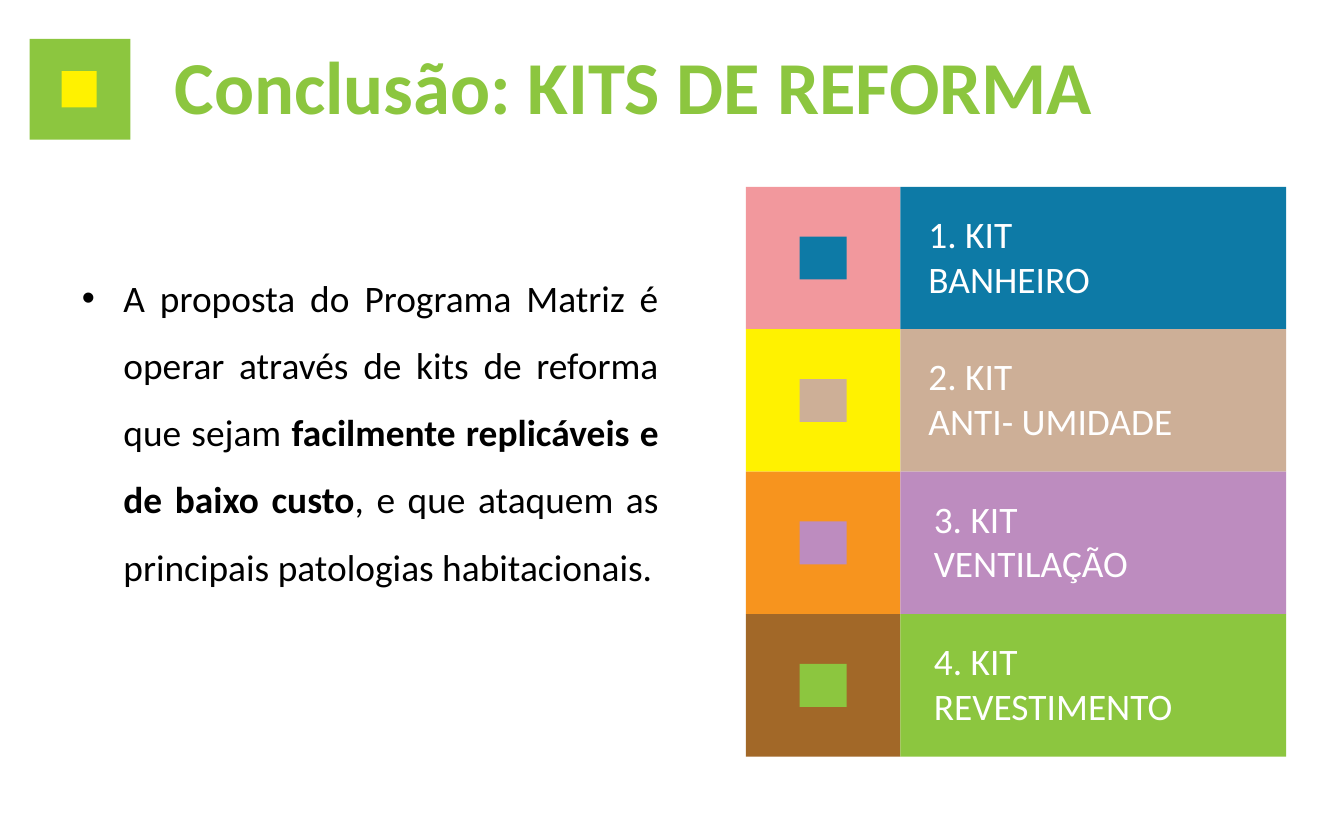
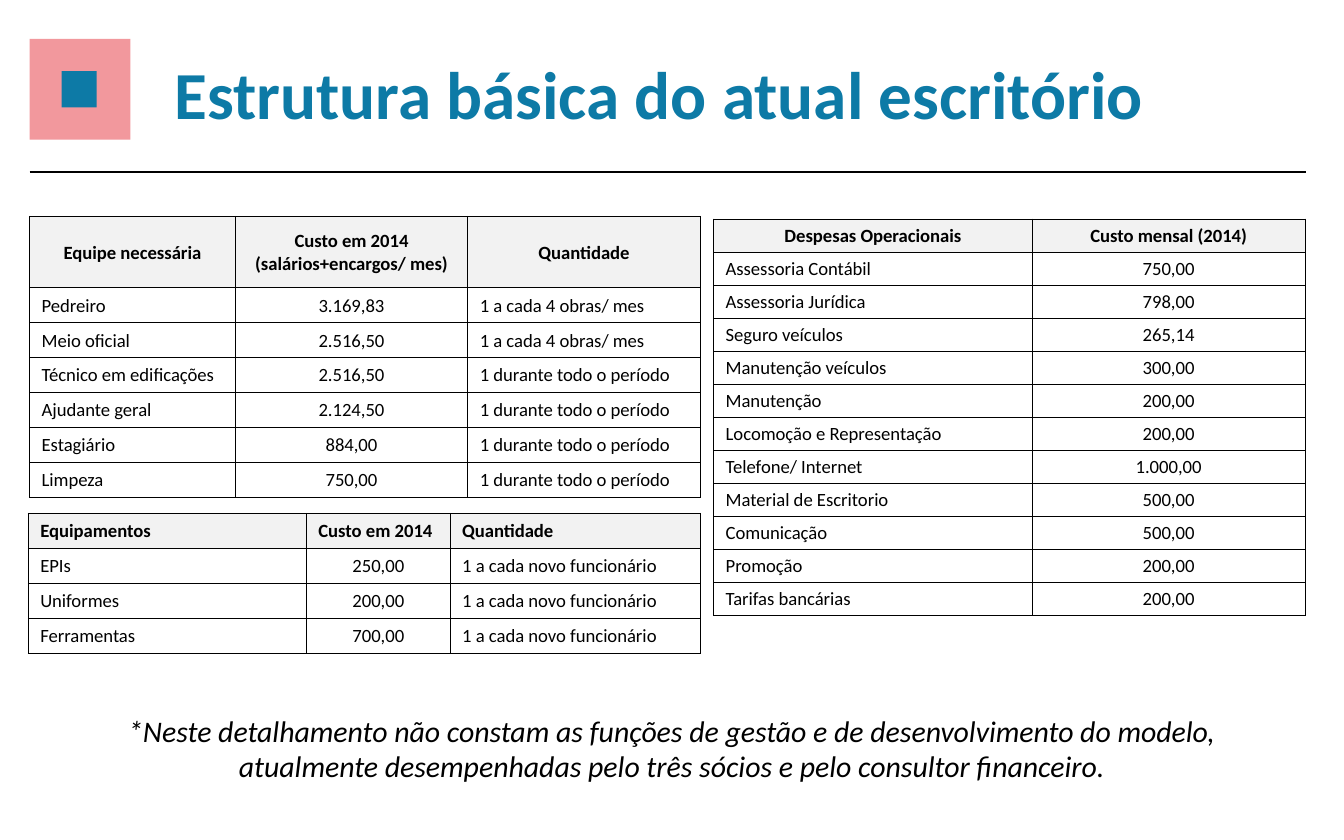
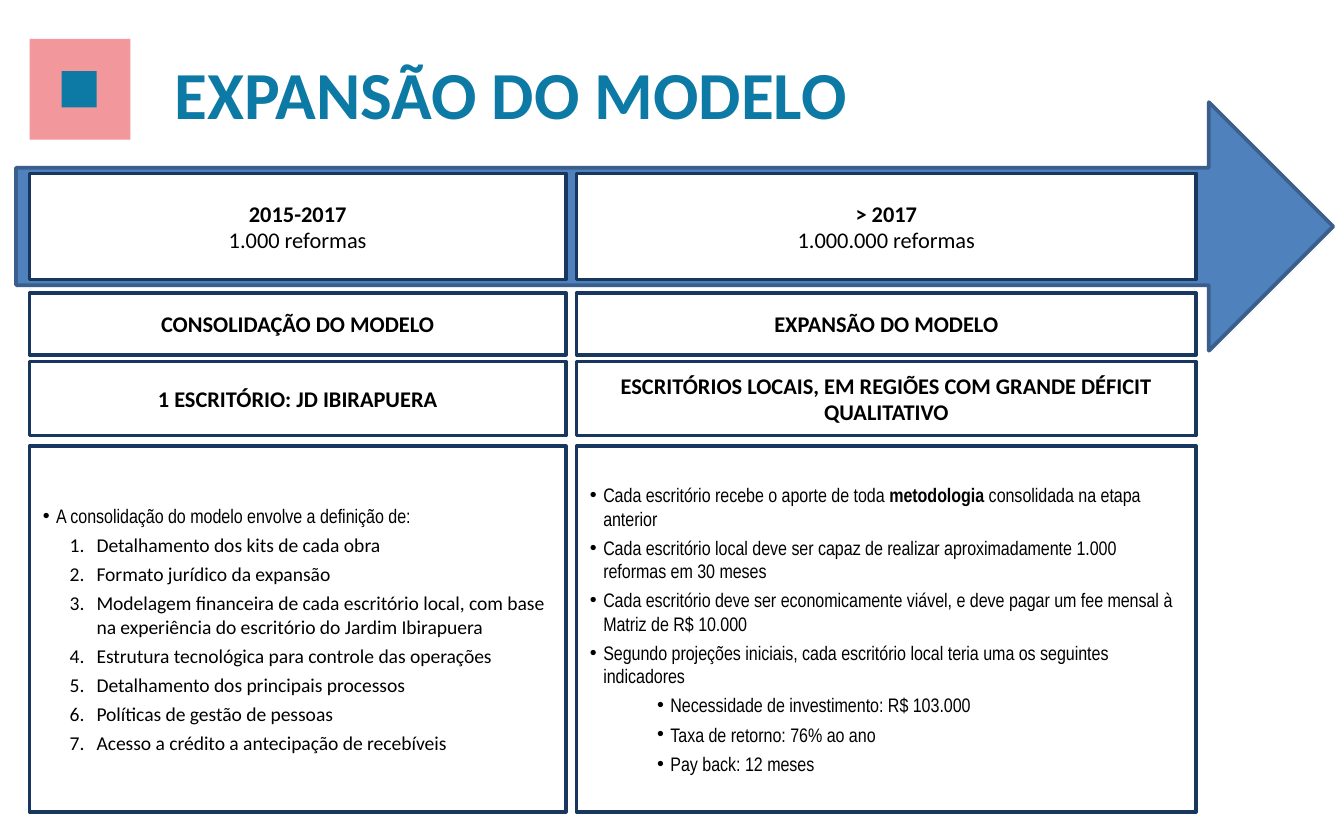
import pptx
import pptx.util
import pptx.dml.color
import pptx.enum.shapes
import pptx.enum.text
import pptx.oxml.ns
from lxml import etree

Inches = pptx.util.Inches
Pt = pptx.util.Pt
RGBColor = pptx.dml.color.RGBColor
MSO_SHAPE = pptx.enum.shapes.MSO_SHAPE
PP_ALIGN = pptx.enum.text.PP_ALIGN
MSO_ANCHOR = pptx.enum.text.MSO_ANCHOR
MSO_AUTO_SIZE = pptx.enum.text.MSO_AUTO_SIZE
qn = pptx.oxml.ns.qn

BLACK = RGBColor(0x00, 0x00, 0x00)
WHITE = RGBColor(0xFF, 0xFF, 0xFF)
GREEN = RGBColor(0x8C, 0xC6, 0x3F)
YELLOW = RGBColor(0xFF, 0xF2, 0x00)
PINK = RGBColor(0xF2, 0x98, 0x9D)
BLUE = RGBColor(0x0D, 0x7A, 0xA6)
SAND = RGBColor(0xCD, 0xAF, 0x97)
ORANGE = RGBColor(0xF7, 0x94, 0x1E)
LILAC = RGBColor(0xBD, 0x8C, 0xBF)
BROWN = RGBColor(0xA2, 0x68, 0x28)
HEADER_GREY = RGBColor(0xF2, 0xF2, 0xF2)
ARROW_BLUE = RGBColor(0x4F, 0x81, 0xBD)
ARROW_EDGE = RGBColor(0x3A, 0x5F, 0x8C)
NAVY = RGBColor(0x17, 0x37, 0x5E)


def add_box(s, x, y, w, h, fill, line=None, shape=MSO_SHAPE.RECTANGLE):
    sp = s.shapes.add_shape(shape, Inches(x), Inches(y), Inches(w), Inches(h))
    sp.shadow.inherit = False
    sp.fill.solid()
    sp.fill.fore_color.rgb = fill
    if line is None:
        sp.line.fill.background()
    else:
        sp.line.color.rgb = line
        sp.line.width = Pt(2)
    return sp


def write(tf, paras, size, color=BLACK, align=PP_ALIGN.LEFT, italic=False):
    """Each paragraph is (runs, bullet style or None); each run is (text, bold)."""
    for i, (runs, bullet) in enumerate(paras):
        p = tf.paragraphs[0] if i == 0 else tf.add_paragraph()
        p.alignment = align
        if bullet:
            pPr = p._p.get_or_add_pPr()
            pPr.set("marL", str(Inches(bullet["left"])))
            pPr.set("indent", str(-Inches(bullet["hang"])))
            if bullet["mark"] == "1.":
                etree.SubElement(pPr, qn("a:buFont"), typeface="+mj-lt")
                etree.SubElement(pPr, qn("a:buAutoNum"), type="arabicPeriod")
            else:
                etree.SubElement(pPr, qn("a:buFont"), typeface="Arial")
                etree.SubElement(pPr, qn("a:buChar"), char=bullet["mark"])
            p.level = bullet["level"]
            if i > 0:
                p.space_before = Pt(3)
        for text, bold in runs:
            r = p.add_run()
            r.text = text
            r.font.name = bullet["font"] if bullet else "Calibri"
            r.font.size = Pt(size)
            r.font.bold = bold
            r.font.italic = italic
            r.font.color.rgb = color


prs = pptx.Presentation()
prs.slide_width = Inches(10)
prs.slide_height = Inches(6.25)

# Slides with their square emblem and title
headers = [
    ("Conclusão: KITS DE REFORMA", 40, 0.25, 7.11, 0.77, GREEN, GREEN, YELLOW),
    ("Estrutura básica do atual escritório", 36, 0.34, 7.51, 0.71, BLUE, PINK, BLUE),
    ("EXPANSÃO DO MODELO", 36, 0.34, 5.31, 0.71, BLUE, PINK, BLUE),
]
for title, size, y, w, h, color, outer, inner in headers:
    s = prs.slides.add_slide(prs.slide_layouts[6])
    tb = s.shapes.add_textbox(Inches(1.2), Inches(y), Inches(w), Inches(h))
    tb.text_frame.word_wrap = False
    tb.text_frame.auto_size = MSO_AUTO_SIZE.SHAPE_TO_FIT_TEXT
    write(tb.text_frame, [([(title, True)], None)], size, color)
    add_box(s, 0.22, 0.29, 0.75, 0.75, outer)
    add_box(s, 0.46, 0.53, 0.26, 0.27, inner)
kits_slide, office_slide, growth_slide = prs.slides

# Slide 1: renovation kits
kits = [
    ("1. KIT", "BANHEIRO", PINK, BLUE, 6.81, 1.41),
    ("2. KIT", "ANTI- UMIDADE", YELLOW, SAND, 6.81, 2.03),
    ("3. KIT", "VENTILAÇÃO", ORANGE, LILAC, 6.85, 1.66),
    ("4. KIT", "REVESTIMENTO", BROWN, GREEN, 6.85, 1.99),
]
KIT_H = 1.06
for i, (number, name, tile, band, x, w) in enumerate(kits):
    y = 1.39 + i * KIT_H
    add_box(kits_slide, 5.55, y, 1.15, KIT_H, tile)
    add_box(kits_slide, 5.95, y + 0.37, 0.35, 0.32, band)
    add_box(kits_slide, 6.7, y, 2.87, KIT_H, band)
    tb = kits_slide.shapes.add_textbox(Inches(x), Inches(y + 0.13), Inches(w), Inches(0.77))
    tb.text_frame.word_wrap = False
    tb.text_frame.auto_size = MSO_AUTO_SIZE.SHAPE_TO_FIT_TEXT
    write(tb.text_frame, [([(number, False)], None), ([(name, False)], None)], 20, WHITE)

# Slide 1: proposal
proposal = [
    ("A proposta do Programa Matriz é operar através de kits de reforma que sejam ", False),
    ("facilmente replicáveis e de baixo custo", True),
    (", e que ataquem as principais patologias habitacionais.", False),
]
tb = kits_slide.shapes.add_textbox(Inches(0.51), Inches(1.83), Inches(4.49), Inches(2.6))
tf = tb.text_frame
tf.word_wrap = True
tf.auto_size = MSO_AUTO_SIZE.SHAPE_TO_FIT_TEXT
big_bullet = dict(left=0.31, hang=0.31, mark="•", level=0, font="Calibri")
write(tf, [(proposal, big_bullet)], 20, align=PP_ALIGN.JUSTIFY)
tf.paragraphs[0].line_spacing = 1.5

# Slide 2: rule under the title
rule = office_slide.shapes.add_connector(
    pptx.enum.shapes.MSO_CONNECTOR.STRAIGHT,
    Inches(0.22), Inches(1.28), Inches(9.72), Inches(1.28))
rule.line.color.rgb = BLACK
rule.line.width = Pt(0.75)
etree.SubElement(rule._element.spPr, qn("a:effectLst"))

# Slide 2: cost tables
ALL_TIME = "1 durante todo o período"
PER_WORKS = "1 a cada 4 obras/ mes"
PER_HIRE = "1 a cada novo funcionário"
team = [
    ("Equipe necessária", "Custo em 2014\n(salários+encargos/ mes)", "Quantidade"),
    ("Pedreiro", "3.169,83", PER_WORKS),
    ("Meio oficial", "2.516,50", PER_WORKS),
    ("Técnico em edificações", "2.516,50", ALL_TIME),
    ("Ajudante geral", "2.124,50", ALL_TIME),
    ("Estagiário", "884,00", ALL_TIME),
    ("Limpeza", "750,00", ALL_TIME),
]
expenses = [
    ("Despesas Operacionais", "Custo mensal (2014)"),
    ("Assessoria Contábil", "750,00"),
    ("Assessoria Jurídica", "798,00"),
    ("Seguro veículos", "265,14"),
    ("Manutenção veículos", "300,00"),
    ("Manutenção", "200,00"),
    ("Locomoção e Representação", "200,00"),
    ("Telefone/ Internet", "1.000,00"),
    ("Material de Escritorio", "500,00"),
    ("Comunicação", "500,00"),
    ("Promoção", "200,00"),
    ("Tarifas bancárias", "200,00"),
]
equipment = [
    ("Equipamentos", "Custo em 2014", "Quantidade"),
    ("EPIs", "250,00", PER_HIRE),
    ("Uniformes", "200,00", PER_HIRE),
    ("Ferramentas", "700,00", PER_HIRE),
]
# rows, left, top, column widths, header height, row height, header centred
tables = [
    (team, 0.22, 1.61, (1.53, 1.73, 1.73), 0.53, 0.26, True),
    (expenses, 5.31, 1.63, (2.37, 2.03), 2.95 / 12, 2.95 / 12, True),
    (equipment, 0.21, 3.82, (2.07, 1.07, 1.86), 0.26, 0.26, False),
]
for rows, x, y, widths, head_h, row_h, head_centred in tables:
    height = head_h + row_h * (len(rows) - 1)
    tbl = office_slide.shapes.add_table(
        len(rows), len(widths), Inches(x), Inches(y),
        Inches(sum(widths)), Inches(height)).table
    for c, w in enumerate(widths):
        tbl.columns[c].width = Inches(w)
    for i, row in enumerate(rows):
        head = i == 0
        tbl.rows[i].height = Inches(head_h if head else row_h)
        for c, text in enumerate(row):
            cell = tbl.cell(i, c)
            centred = head_centred if head else c == 1
            cell.vertical_anchor = MSO_ANCHOR.MIDDLE
            cell.margin_left = Inches(0.01 if centred else 0.09)
            cell.margin_top = cell.margin_right = Inches(0.01)
            cell.margin_bottom = 0
            tcPr = cell._tc.get_or_add_tcPr()
            for side in ("a:lnL", "a:lnR", "a:lnT", "a:lnB"):
                ln = etree.SubElement(tcPr, qn(side), w=str(Pt(0.5)))
                fill = etree.SubElement(ln, qn("a:solidFill"))
                etree.SubElement(fill, qn("a:srgbClr"), val=str(BLACK))
            cell.fill.solid()
            cell.fill.fore_color.rgb = HEADER_GREY if head else WHITE
            write(cell.text_frame, [([(t, head)], None) for t in text.split("\n")], 10,
                  align=PP_ALIGN.CENTER if centred else PP_ALIGN.LEFT)

# Slide 2: footnote
note = ("*Neste detalhamento não constam as funções de gestão e de desenvolvimento do modelo, "
        "atualmente desempenhadas pelo três sócios e pelo consultor financeiro.")
tb = office_slide.shapes.add_textbox(Inches(0.67), Inches(5.25), Inches(8.66), Inches(0.64))
tb.text_frame.word_wrap = True
tb.text_frame.auto_size = MSO_AUTO_SIZE.SHAPE_TO_FIT_TEXT
write(tb.text_frame, [([(note, False)], None)], 16, align=PP_ALIGN.CENTER, italic=True)

# Slide 3: timeline arrow
arrow = add_box(growth_slide, 0.12, 0.76, 9.8, 1.85, ARROW_BLUE, ARROW_EDGE,
                MSO_SHAPE.RIGHT_ARROW)
arrow.adjustments[0] = 0.473
arrow.adjustments[1] = 0.5

# Slide 3: two columns of phases
point = dict(left=0.1, hang=0.1, mark="•", level=0, font="Arial Narrow")
step = dict(left=0.4, hang=0.2, mark="1.", level=1, font="Calibri")
indicator = dict(left=0.6, hang=0.1, mark="•", level=1, font="Arial Narrow")
steps = [
    "Detalhamento dos kits de cada obra",
    "Formato jurídico da expansão",
    "Modelagem financeira de cada escritório local, com base na experiência do "
    "escritório do Jardim Ibirapuera",
    "Estrutura tecnológica para controle das operações",
    "Detalhamento dos principais processos",
    "Políticas de gestão de pessoas",
    "Acesso a crédito a antecipação de recebíveis",
]
points = [
    "Cada escritório local deve ser capaz de realizar aproximadamente 1.000 reformas em 30 meses",
    "Cada escritório deve ser economicamente viável, e deve pagar um fee mensal à "
    "Matriz de R$ 10.000",
    "Segundo projeções iniciais, cada escritório local teria uma os seguintes indicadores",
]
indicators = [
    "Necessidade de investimento: R$ 103.000",
    "Taxa de retorno: 76% ao ano",
    "Pay back: 12 meses",
]
consolidation = [([("A consolidação do modelo envolve a definição de:", False)], point)]
consolidation += [([(t, False)], step) for t in steps]
expansion = [([("Cada escritório recebe o aporte de toda ", False), ("metodologia", True),
               (" consolidada na etapa anterior", False)], point)]
expansion += [([(t, False)], point) for t in points]
expansion += [([(t, False)], indicator) for t in indicators]

bands = [(1.29, 0.79), (2.18, 0.46), (2.69, 0.55), (3.32, 2.72)]
phases = [
    (0.22, 3.99, "2015-2017", "1.000 reformas", "CONSOLIDAÇÃO DO MODELO",
     "1 ESCRITÓRIO: JD IBIRAPUERA", consolidation),
    (4.29, 4.61, "> 2017", "1.000.000 reformas", "EXPANSÃO DO MODELO",
     "ESCRITÓRIOS LOCAIS, EM REGIÕES COM GRANDE DÉFICIT QUALITATIVO", expansion),
]
for x, w, years, target, stage, offices, details in phases:
    contents = [
        [([(years, True)], None), ([(target, False)], None)],
        [([(stage, True)], None)],
        [([(offices, True)], None)],
        details,
    ]
    for (y, h), paras in zip(bands, contents):
        tf = add_box(growth_slide, x, y, w, h, WHITE, NAVY).text_frame
        tf.word_wrap = True
        tf.vertical_anchor = MSO_ANCHOR.MIDDLE
        if paras is details:
            write(tf, paras, 10.5)
        else:
            write(tf, paras, 12, align=PP_ALIGN.CENTER)

prs.save("out.pptx")
